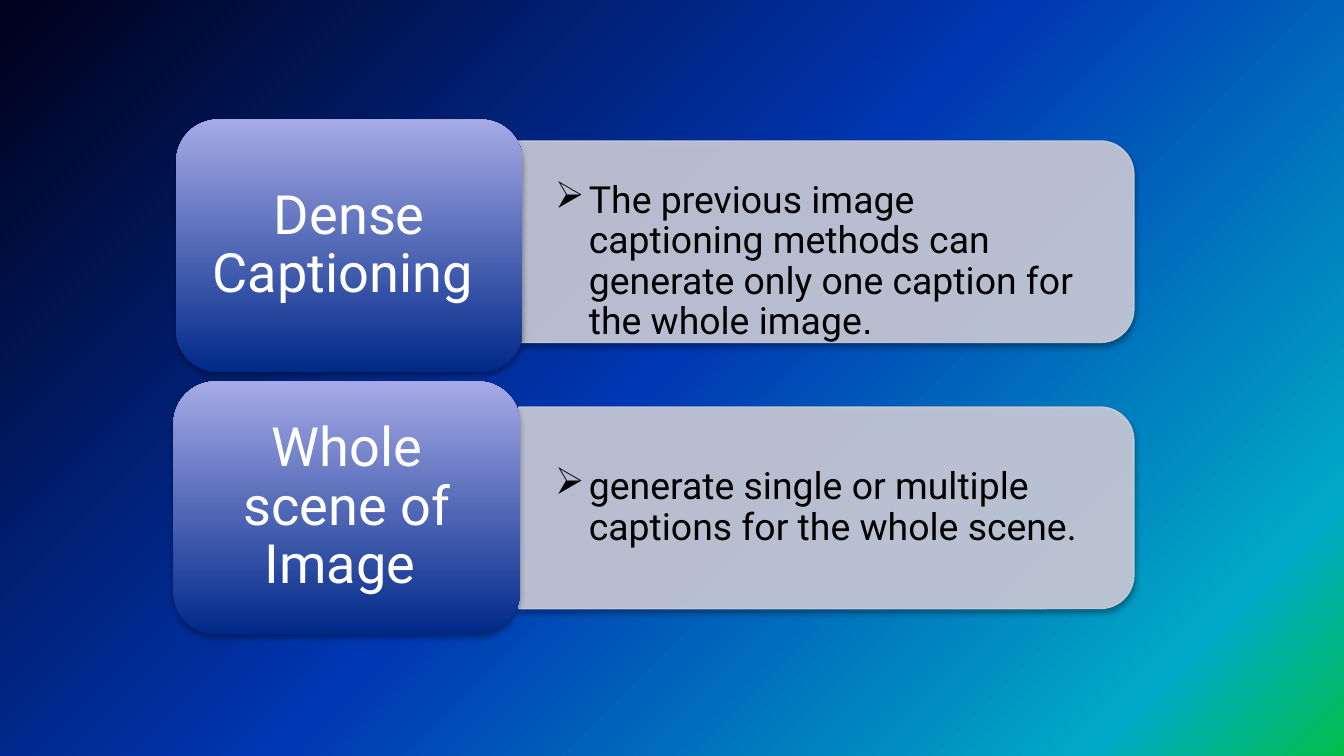
from pptx import Presentation
from pptx.dml.color import RGBColor
from pptx.enum.shapes import MSO_SHAPE
from pptx.enum.text import MSO_ANCHOR, PP_ALIGN
from pptx.oxml import parse_xml
from pptx.oxml.ns import nsdecls, qn
from pptx.util import Cm, Pt
from lxml.etree import SubElement

WHITE = RGBColor(0xFF, 0xFF, 0xFF)
BLACK = RGBColor(0, 0, 0)
PANEL = RGBColor(0xCC, 0xCD, 0xDA)
LABEL_DARK = RGBColor(0x00, 0x29, 0x88)
LABEL_LIGHT = RGBColor(0xA6, 0xAA, 0xE6)
BACKDROP = [
    (0, RGBColor(0x00, 0xBE, 0x4C)),
    (12, RGBColor(0x00, 0xAA, 0xC6)),
    (51, RGBColor(0x00, 0x37, 0xB3)),
    (100, RGBColor(0x00, 0x00, 0x1A)),
]

ROW_TOP, ROW_PITCH = 2.26, 5.03
LABEL_W, LABEL_H = 6.55, 4.78
PANEL_X, PANEL_W, PANEL_H = 9.8, 11.63, 3.81

ROWS = [
    {"label": "Dense Captioning ", "label_x": 3.33, "label_dy": 0, "drop": 0.76,
     "runs": [("The previous image captioning methods can generate only one "
               "caption for the whole image", "Roboto"), (".", "Arial")]},
    {"label": "Whole scene of Image ", "label_x": 3.28, "label_dy": -0.08, "drop": 0,
     "runs": [("generate single or multiple captions for the whole scene.", "Roboto")]},
]


def set_attrs(obj, values):
    for name, value in values.items():
        setattr(obj, name, value)


def paint_background(s):
    fill = s.background.fill
    fill.gradient()
    old = s.element.find(".//" + qn("a:gradFill"))
    stops = "".join(
        f'<a:gs pos="{pos * 1000}"><a:srgbClr val="{color}"/></a:gs>'
        for pos, color in BACKDROP)
    old.getparent().replace(old, parse_xml(
        f'<a:gradFill {nsdecls("a")} rotWithShape="1"><a:gsLst>{stops}</a:gsLst>'
        '<a:path path="circle"><a:fillToRect l="100000" t="100000"/></a:path>'
        '</a:gradFill>'))


def add_shadow(sp):
    sp.shadow.inherit = False
    effects = sp.element.spPr.find(qn("a:effectLst"))
    effects.append(parse_xml(
        f'<a:outerShdw {nsdecls("a")} blurRad="{Pt(3.1)}" dist="{Pt(1.8)}" '
        'dir="5400000" rotWithShape="0"><a:srgbClr val="000000">'
        '<a:alpha val="35000"/></a:srgbClr></a:outerShdw>'))


def add_text(s, box, insets, runs, size, color):
    tf = s.shapes.add_textbox(*map(Cm, box)).text_frame
    left, top, right, bottom = map(Cm, insets)
    set_attrs(tf, {"word_wrap": True, "vertical_anchor": MSO_ANCHOR.MIDDLE,
                   "margin_left": left, "margin_top": top,
                   "margin_right": right, "margin_bottom": bottom})
    p = tf.paragraphs[0]
    p.line_spacing = 0.9
    for text, font in runs:
        r = p.add_run()
        r.text = text
        set_attrs(r.font, {"name": font, "size": Pt(size)})
        r.font.color.rgb = color
    return p


def add_bullet(p):
    p.level = 1
    pPr = p._p.get_or_add_pPr()
    pPr.set("marL", str(Cm(0.64)))
    pPr.set("indent", str(-Cm(0.64)))
    color = SubElement(pPr, qn("a:buClr"))
    SubElement(color, qn("a:srgbClr"), val=str(BLACK))
    SubElement(pPr, qn("a:buChar"), char="➢")


def add_panel(s, box, runs, drop):
    x, y, w, h = box
    sp = s.shapes.add_shape(
        MSO_SHAPE.ROUND_2_SAME_RECTANGLE,
        *map(Cm, (x + (w - h) / 2, y + (h - w) / 2, h, w)))
    sp.rotation = 90
    sp.fill.solid()
    sp.fill.fore_color.rgb = PANEL
    sp.line.color.rgb = PANEL
    sp.line.width = Pt(0.75)
    for color in sp.element.spPr.iter(qn("a:srgbClr")):
        SubElement(color, qn("a:alpha"), val="90000")
    add_shadow(sp)
    p = add_text(s, (x, y + 0.18, w - 0.18, h - 0.36),
                 (0.69, 0.36 + drop, 0.69, 0.36), runs, 20, BLACK)
    add_bullet(p)


def add_label(s, box, text):
    x, y, w, h = box
    sp = s.shapes.add_shape(MSO_SHAPE.ROUNDED_RECTANGLE, *map(Cm, box))
    sp.fill.gradient()
    sp.fill.gradient_angle = 90
    for stop, pos, color in zip(sp.fill.gradient_stops, (0, 1), (LABEL_DARK, LABEL_LIGHT)):
        stop.position = pos
        stop.color.rgb = color
    sp.line.fill.background()
    add_shadow(sp)
    pad = 0.23
    p = add_text(s, (x + pad, y + pad, w - 2 * pad, h - 2 * pad),
                 (0.3, 0.15, 0.3, 0.15), [(text, "Roboto")], 29, WHITE)
    p.alignment = PP_ALIGN.CENTER


def add_row(s, top, row):
    panel_y = top + (LABEL_H - PANEL_H) / 2 - 0.08
    add_panel(s, (PANEL_X, panel_y, PANEL_W, PANEL_H), row["runs"], row["drop"])
    add_label(s, (row["label_x"], top + row["label_dy"], LABEL_W, LABEL_H), row["label"])


def main():
    prs = Presentation()
    set_attrs(prs, {"slide_width": Cm(25.4), "slide_height": Cm(14.29)})
    s = prs.slides.add_slide(prs.slide_layouts[6])
    paint_background(s)
    for i, row in enumerate(ROWS):
        add_row(s, ROW_TOP + i * ROW_PITCH, row)
    prs.save("out.pptx")


if __name__ == "__main__":
    main()
